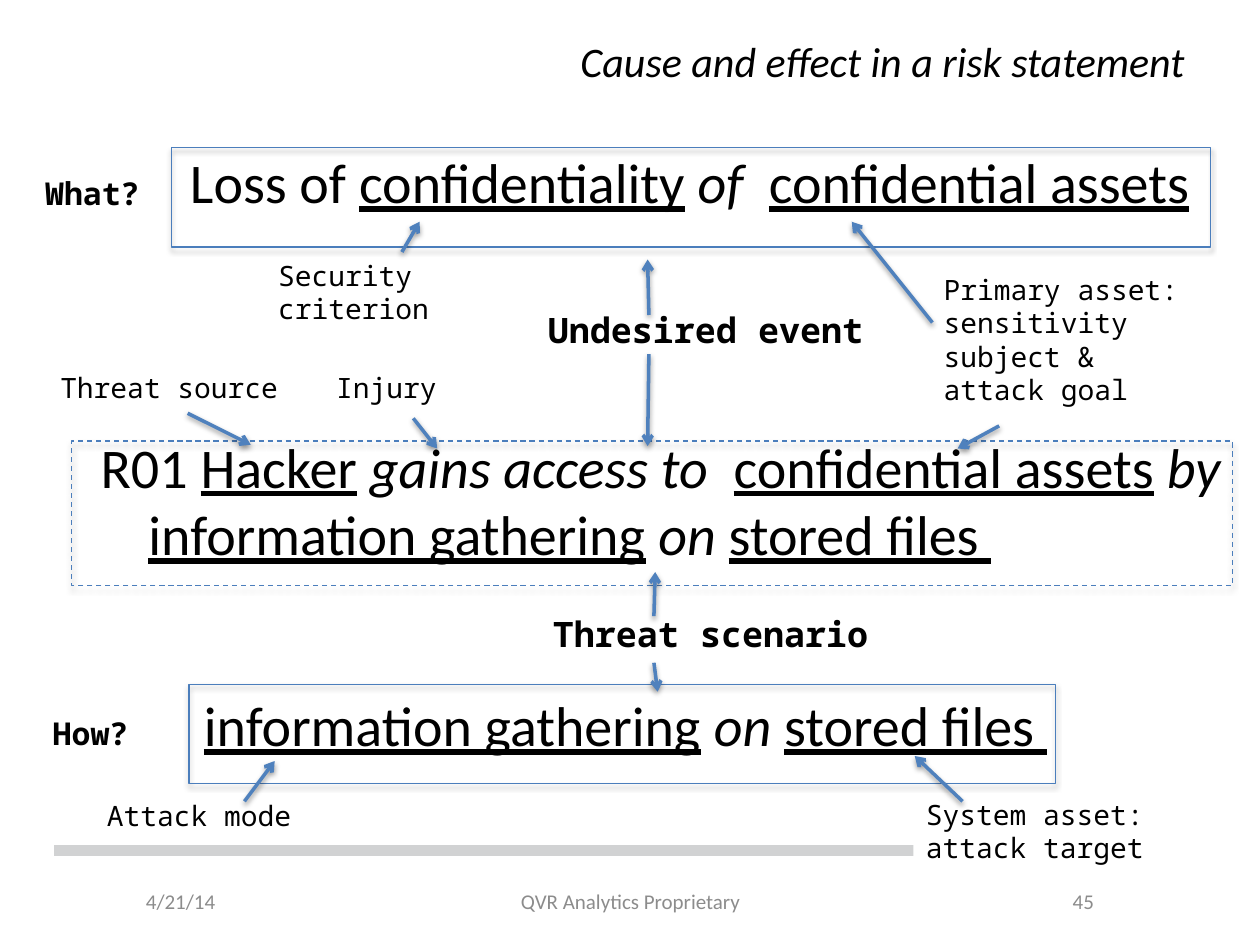
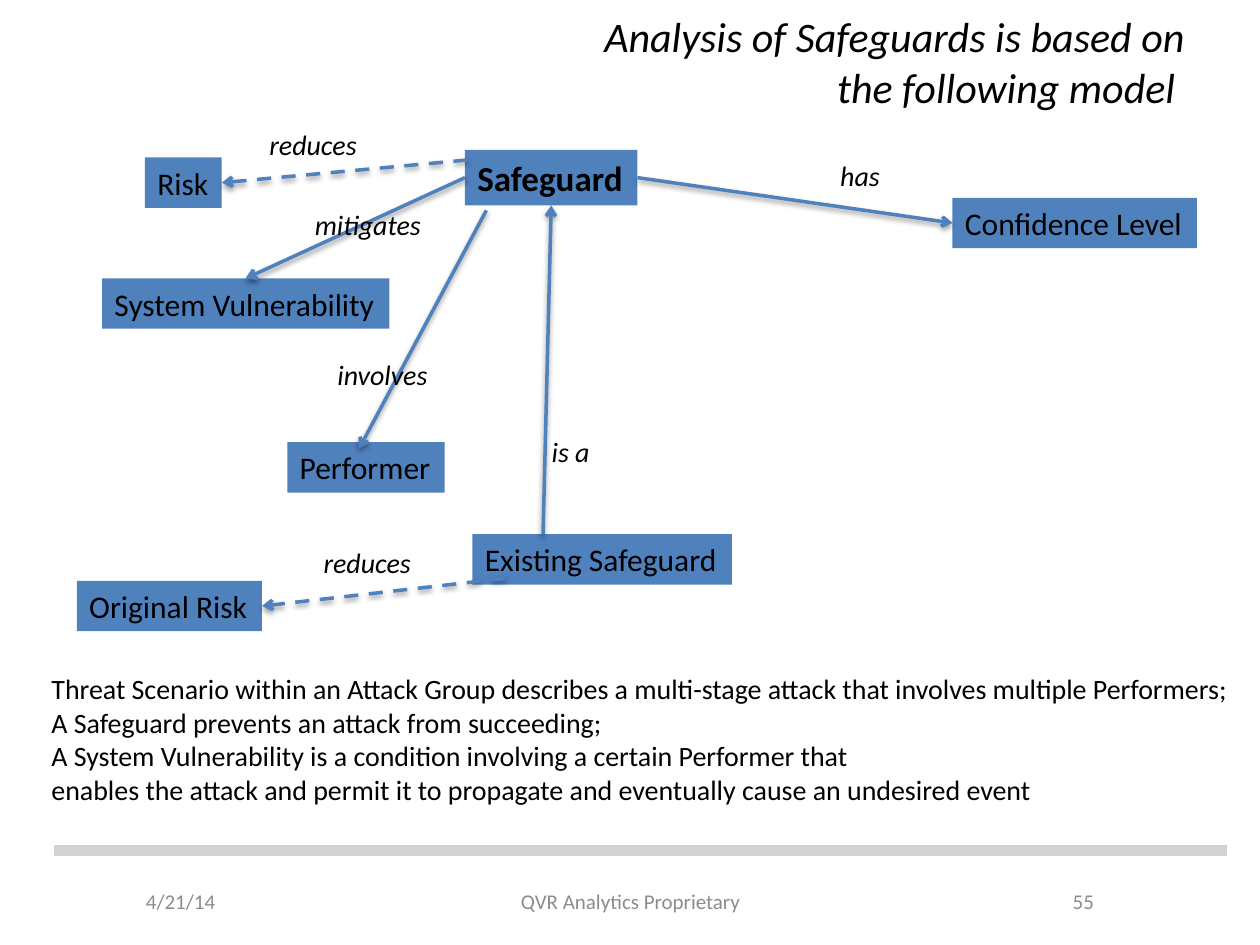
from lxml.etree import SubElement
from pptx import Presentation
from pptx.dml.color import RGBColor
from pptx.enum.dml import MSO_LINE
from pptx.enum.shapes import MSO_CONNECTOR, MSO_SHAPE
from pptx.enum.text import MSO_ANCHOR, MSO_AUTO_SIZE, PP_ALIGN
from pptx.oxml.ns import qn
from pptx.util import Inches, Pt

BLACK = RGBColor(0, 0, 0)
WHITE = RGBColor(0xFF, 0xFF, 0xFF)
GRAY = RGBColor(0x8C, 0x8C, 0x8C)
RULE = RGBColor(0xD1, 0xD2, 0xD3)
BLUE = RGBColor(0x4F, 0x81, 0xBD)
EDGE = RGBColor(0x4B, 0x7E, 0xBC)
SANS = "Calibri"
MONO = "Noto Sans Mono"
TOP, LEFT, BOTTOM, RIGHT = range(4)


def write(shape, text, size=16, font=SANS, color=BLACK, bold=False,
          italic=False, align=PP_ALIGN.LEFT, anchor=MSO_ANCHOR.TOP,
          wrap=True, grow=False, hang=0):
    frame = shape.text_frame
    frame.word_wrap = wrap
    frame.vertical_anchor = anchor
    if grow:
        frame.auto_size = MSO_AUTO_SIZE.SHAPE_TO_FIT_TEXT
    if isinstance(text, str):
        paras = [[(line, "")] for line in text.split("\n")]
    else:
        paras = [text]
    for i, runs in enumerate(paras):
        para = frame.add_paragraph() if i else frame.paragraphs[0]
        para.alignment = align
        if hang:
            props = para._p.get_or_add_pPr()
            props.set("marL", str(Inches(hang)))
            props.set("indent", str(-Inches(hang)))
        for words, mark in runs:
            run = para.add_run()
            run.text = words
            run.font.name = font
            run.font.size = Pt(size)
            run.font.color.rgb = color
            run.font.bold = bold
            run.font.italic = italic or mark == "i"
            run.font.underline = mark == "u"


def shade(shape, alpha=0, drop=1.6):
    props = shape._element.spPr
    for old in props.findall(qn("a:effectLst")):
        props.remove(old)
    effects = SubElement(props, qn("a:effectLst"))
    if alpha:
        cast = SubElement(effects, qn("a:outerShdw"), blurRad=str(Pt(3.1)),
                          dist=str(Pt(drop)), dir="5400000", rotWithShape="0")
        tint = SubElement(cast, qn("a:srgbClr"), val="000000")
        SubElement(tint, qn("a:alpha"), val=str(alpha * 1000))


class Deck:
    def __init__(self):
        self.prs = Presentation()
        self.prs.slide_width = Inches(10)
        self.prs.slide_height = Inches(7.5)
        self.slide = None

    def page(self, title, number):
        self.slide = self.prs.slides.add_slide(self.prs.slide_layouts[6])
        foot = dict(size=12, color=GRAY, anchor=MSO_ANCHOR.MIDDLE)
        self.text(1.06, 6.95, 1.77, 0.4, "4/21/14", **foot)
        self.text(7.17, 6.95, 1.61, 0.4, number, align=PP_ALIGN.RIGHT, **foot)
        self.text(3.42, 6.95, 3.17, 0.4, "QVR Analytics Proprietary",
                  align=PP_ALIGN.CENTER, **foot)
        shade(self.line((0.43, 6.75), (9.74, 6.75), RULE, 6))
        self.text(0.5, 0.21, 9, 0.55, title, size=24, italic=True,
                  align=PP_ALIGN.RIGHT, anchor=MSO_ANCHOR.MIDDLE)

    def text(self, x, y, w, h, text, **fmt):
        box = self.slide.shapes.add_textbox(
            Inches(x), Inches(y), Inches(w), Inches(h))
        write(box, text, **fmt)

    def rect(self, x, y, w, h):
        shape = self.slide.shapes.add_shape(
            MSO_SHAPE.RECTANGLE, Inches(x), Inches(y), Inches(w), Inches(h))
        shape.shadow.inherit = False
        return shape

    def node(self, x, y, w, h, text, fill=BLUE, **fmt):
        shape = self.rect(x, y, w, h)
        shape.fill.solid()
        shape.fill.fore_color.rgb = fill
        shape.line.fill.background()
        write(shape, text, grow=True, **fmt)
        return shape

    def frame(self, x, y, w, h, dash=False):
        shape = self.rect(x, y, w, h)
        shape.fill.background()
        shape.line.color.rgb = EDGE
        shape.line.width = Pt(0.75)
        if dash:
            shape.line.dash_style = MSO_LINE.DASH
        shade(shape, 35, 1.8)

    def line(self, start, end, color, width):
        ends = [Inches(v) for v in (*start, *end)]
        line = self.slide.shapes.add_connector(MSO_CONNECTOR.STRAIGHT, *ends)
        line.line.color.rgb = color
        line.line.width = Pt(width)
        return line

    def arrow(self, start, end, dash=False):
        spots = [(0, 0) if hasattr(p[0], "shape_id") else p
                 for p in (start, end)]
        line = self.line(*spots, BLUE, 2)
        if spots[0] != start:
            line.begin_connect(*start)
        if spots[1] != end:
            line.end_connect(*end)
        if dash:
            line.line.dash_style = MSO_LINE.DASH
        SubElement(line.line._get_or_add_ln(), qn("a:tailEnd"), type="arrow")
        shade(line, 38)


def risk(deck):
    deck.page("Cause and effect in a risk statement", "45")
    how = [("information gathering", "u"), (" ", ""), ("on ", "i"),
           ("stored files ", "u")]
    asset = ("confidential assets", "u")
    event = [("R01 ", ""), ("Hacker", "u"), (" ", ""),
             ("gains access to  ", "i"), asset, (" ", ""), ("by ", "i"), *how]
    loss = [("Loss of ", ""), ("confidentiality", "u"), (" ", ""),
            ("of  ", "i"), asset]
    for x, y, h, runs in ((0.7, 3.38, 1.41, event), (1.41, 1.12, 0.82, loss),
                          (1.52, 5.43, 0.82, how)):
        deck.text(x, y, 9.14, h, runs, size=32, hang=0.38)

    note = dict(font=MONO)
    deck.text(0.38, 2.89, 1.95, 0.37, "Threat source", wrap=False, **note)
    deck.text(2.57, 2.89, 1.25, 0.37, "Injury", **note)
    deck.text(7.39, 2.11, 2.61, 1.21,
              "Primary asset: sensitivity subject &\nattack goal", **note)
    deck.text(2.11, 2, 2.15, 0.64, "Security criterion", **note)
    deck.node(0.75, 6.29, 2.17, 0.37, "Attack mode", WHITE, **note)
    deck.node(7.25, 6.28, 2.54, 0.64, "System asset: attack target", WHITE,
              **note)
    for x, y, w, h, text, size in ((4.25, 2.4, 3, 0.44, "Undesired event", 20),
                                   (4.29, 4.81, 3, 0.44, "Threat scenario", 20),
                                   (0.26, 1.33, 1.25, 0.4, "What?", 18),
                                   (0.32, 5.62, 1.25, 0.4, "How?", 18)):
        deck.text(x, y, w, h, text, size=size, bold=True, **note)

    deck.frame(1.5, 5.43, 6.88, 0.79)
    deck.frame(0.57, 3.5, 9.21, 1.15, dash=True)
    deck.frame(1.36, 1.17, 8.25, 0.79)
    for start, end in (((1.49, 3.28), (1.99, 3.53)),
                       ((3.28, 3.32), (3.47, 3.56)),
                       ((7.93, 3.38), (7.6, 3.56)),
                       ((1.94, 6.36), (2.18, 6.04)),
                       ((7.64, 6.36), (7.26, 6)),
                       ((5.15, 2.81), (5.14, 3.54)),
                       ((5.15, 2.5), (5.14, 2.06)),
                       ((3.19, 2), (3.33, 1.76)),
                       ((7.4, 2.56), (6.76, 1.76)),
                       ((5.19, 5.26), (5.22, 5.49)),
                       ((5.19, 4.89), (5.2, 4.54))):
        deck.arrow(start, end)


def model(deck):
    deck.page("Analysis of Safeguards is based on\nthe following model ", "55")
    guard = deck.node(3.69, 1.19, 1.37, 0.44, "Safeguard", size=20, bold=True,
                      wrap=False)
    flaw, actor, level, extant, risk, first = [
        deck.node(x, y, w, 0.4, text, size=18, wrap=False)
        for x, y, w, text in ((0.81, 2.21, 2.28, "System Vulnerability"),
                              (2.28, 3.51, 1.25, "Performer"),
                              (7.56, 1.57, 1.94, "Confidence Level"),
                              (3.75, 4.24, 2.06, "Existing Safeguard"),
                              (1.15, 1.25, 0.61, "Risk"),
                              (0.61, 4.61, 1.47, "Original Risk"))]
    deck.arrow((guard, LEFT), (flaw, TOP))
    deck.arrow((3.86, 1.67), (2.85, 3.56))
    deck.arrow((guard, RIGHT), (level, LEFT))
    deck.arrow((4.31, 4.24), (guard, BOTTOM))
    deck.arrow((3.71, 1.27), (risk, RIGHT), dash=True)
    deck.arrow((4.01, 4.59), (first, RIGHT), dash=True)
    for x, y, w, verb in ((2.58, 2.79, 0.98, "involves"),
                          (2.4, 1.6, 1.11, "mitigates"),
                          (6.57, 1.21, 0.57, "has"),
                          (4.28, 3.4, 0.56, "is a"),
                          (2.04, 0.96, 0.96, "reduces"),
                          (2.47, 4.28, 0.96, "reduces")):
        deck.text(x, y, w, 0.37, verb, italic=True, wrap=False)
    deck.text(0.31, 5.28, 9.69, 1.18, "\n".join((
        "Threat Scenario within an Attack Group describes a multi-stage "
        "attack that involves multiple Performers;",
        "A Safeguard prevents an attack from succeeding;",
        "A System Vulnerability is a condition involving a certain "
        "Performer that",
        "enables the attack and permit it to propagate and eventually "
        "cause an undesired event")))


def main():
    deck = Deck()
    risk(deck)
    model(deck)
    deck.prs.save("out.pptx")


if __name__ == "__main__":
    main()
